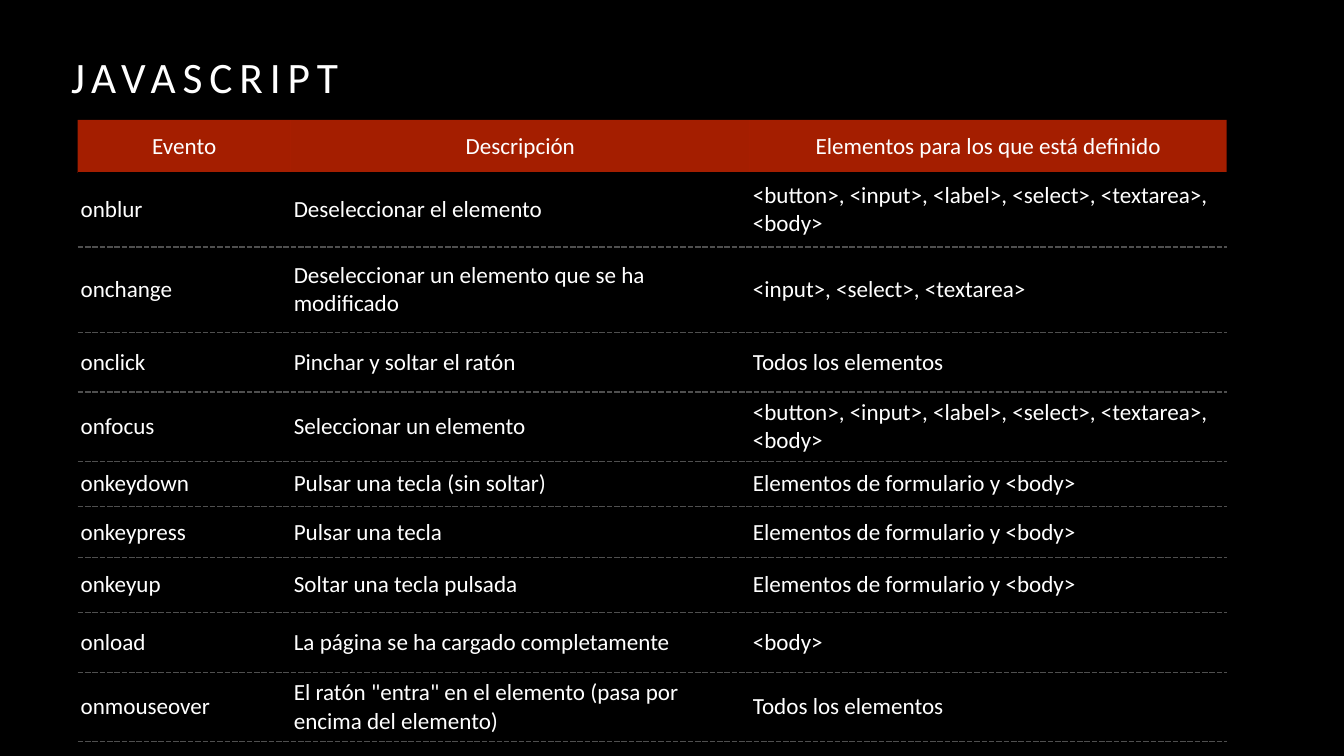
"""Build a slide with a table of JavaScript events."""
from dataclasses import dataclass

from lxml.etree import SubElement
from pptx import Presentation
from pptx.dml.color import RGBColor
from pptx.enum.text import MSO_ANCHOR as Anchor, MSO_AUTO_SIZE as AutoSize, PP_ALIGN as Align
from pptx.oxml import parse_xml
from pptx.oxml.ns import nsdecls, qn
from pptx.slide import Slide
from pptx.table import _Cell as Cell
from pptx.util import Inches, Pt

BLACK = RGBColor(0x00, 0x00, 0x00)
WHITE = RGBColor(0xFF, 0xFF, 0xFF)
RED = RGBColor(0xCD, 0x26, 0x00)
GRAY = RGBColor(0x4F, 0x4F, 0x4F)
FONT = "Calibri"
INSET = Inches(0.06)
PLAIN_STYLE = "{2D5ABB26-0587-4C30-8999-92F81FD0307C}"
COLUMN_WIDTHS = (4.23, 9.11, 9.46)
HEADER_HEIGHT = 1.05
HEADINGS = ("Evento", "Descripción", "Elementos para los que está definido")
FOCUSABLE = "<button>, <input>, <label>, <select>, <textarea>, <body>"
FORM = "Elementos de formulario y <body>"
ALL = "Todos los elementos"


@dataclass(frozen=True)
class Event:
    name: str
    description: str
    elements: str
    height: float


@dataclass(frozen=True)
class Rule:
    color: RGBColor
    width: float
    dash: str


HEADER_RULE = Rule(BLACK, 3, "solid")
ROW_RULE = Rule(GRAY, 2, "sysDash")

EVENTS = (
    Event("onblur", "Deseleccionar el elemento", FOCUSABLE, 1.47),
    Event("onchange", "Deseleccionar un elemento que se ha modificado",
          "<input>, <select>, <textarea>", 1.7),
    Event("onclick", "Pinchar y soltar el ratón", ALL, 1.18),
    Event("onfocus", "Seleccionar un elemento", FOCUSABLE, 1.37),
    Event("onkeydown", "Pulsar una tecla (sin soltar)", FORM, 0.9),
    Event("onkeypress", "Pulsar una tecla", FORM, 1.02),
    Event("onkeyup", "Soltar una tecla pulsada", FORM, 1.08),
    Event("onload", "La página se ha cargado completamente", "<body>", 1.19),
    Event("onmouseover", 'El ratón "entra" en el elemento (pasa por encima del elemento)',
          ALL, 1.38),
)


def add_run(paragraph, text: str, size: float):
    """Add a white run in the slide's font."""
    run = paragraph.add_run()
    run.text = text
    run.font.name = FONT
    run.font.size = Pt(size)
    run.font.color.rgb = WHITE
    return run


def set_border(cell: Cell, side: str, rule: Rule) -> None:
    """Draw one horizontal border of a cell."""
    line = parse_xml(
        f'<a:{side} {nsdecls("a")} w="{Pt(rule.width)}"><a:solidFill>'
        f'<a:srgbClr val="{rule.color}"/></a:solidFill>'
        f'<a:prstDash val="{rule.dash}"/></a:{side}>')
    cell._tc.get_or_add_tcPr().insert(0, line)


def fill_cell(cell: Cell, text: str, align: Align, top: Rule | None, bottom: Rule) -> None:
    """Write the text of a cell and set its margins and borders."""
    cell.margin_left = cell.margin_right = cell.margin_top = cell.margin_bottom = INSET
    cell.vertical_anchor = Anchor.MIDDLE
    paragraph = cell.text_frame.paragraphs[0]
    paragraph.alignment = align
    paragraph.space_before = Pt(45)
    add_run(paragraph, text, 33)
    set_border(cell, "lnB", bottom)
    if top:
        set_border(cell, "lnT", top)


def add_title(slide: Slide, text: str) -> None:
    """Place the letter-spaced title."""
    title = slide.shapes.title
    title.left, title.top = Inches(1.35), Inches(0.94)
    title.width, title.height = Inches(23.96), Inches(2.19)
    frame = title.text_frame
    frame.margin_left = frame.margin_right = frame.margin_top = frame.margin_bottom = INSET
    frame.vertical_anchor = Anchor.TOP
    frame.auto_size = AutoSize.NONE
    frame.word_wrap = True
    frame.paragraphs[0].alignment = Align.LEFT
    run = add_run(frame.paragraphs[0], text, 62)
    run.font._element.set("spc", "990")


def add_event_table(slide: Slide, events: tuple[Event, ...]) -> None:
    """Add the header row and one row for each event."""
    heights = [HEADER_HEIGHT, *(event.height for event in events)]
    frame = slide.shapes.add_table(
        len(heights), len(COLUMN_WIDTHS), Inches(1.54), Inches(2.38),
        Inches(sum(COLUMN_WIDTHS)), Inches(sum(heights)))
    table = frame.table
    table.horz_banding = False
    table._tbl.tblPr.find(qn("a:tableStyleId")).text = PLAIN_STYLE
    for column, width in zip(table.columns, COLUMN_WIDTHS):
        column.width = Inches(width)
    for row, height in zip(table.rows, heights):
        row.height = Inches(height)

    for cell, heading in zip(table.rows[0].cells, HEADINGS):
        cell.fill.solid()
        cell.fill.fore_color.rgb = RED
        tint = cell._tc.tcPr.find(".//" + qn("a:srgbClr"))
        SubElement(tint, qn("a:alpha"), val="80000")
        fill_cell(cell, heading, Align.CENTER, None, HEADER_RULE)

    for index, event in enumerate(events, start=1):
        top = HEADER_RULE if index == 1 else ROW_RULE
        texts = (event.name, event.description, event.elements)
        for cell, text in zip(table.rows[index].cells, texts):
            cell.fill.background()
            fill_cell(cell, text, Align.LEFT, top, ROW_RULE)


def main() -> None:
    """Create and save the presentation."""
    deck = Presentation()
    deck.slide_width, deck.slide_height = Inches(26.67), Inches(15)
    slide = deck.slides.add_slide(deck.slide_layouts[5])
    slide.background.fill.solid()
    slide.background.fill.fore_color.rgb = BLACK
    add_title(slide, "JAVASCRIPT")
    add_event_table(slide, EVENTS)
    deck.save("out.pptx")


if __name__ == "__main__":
    main()
